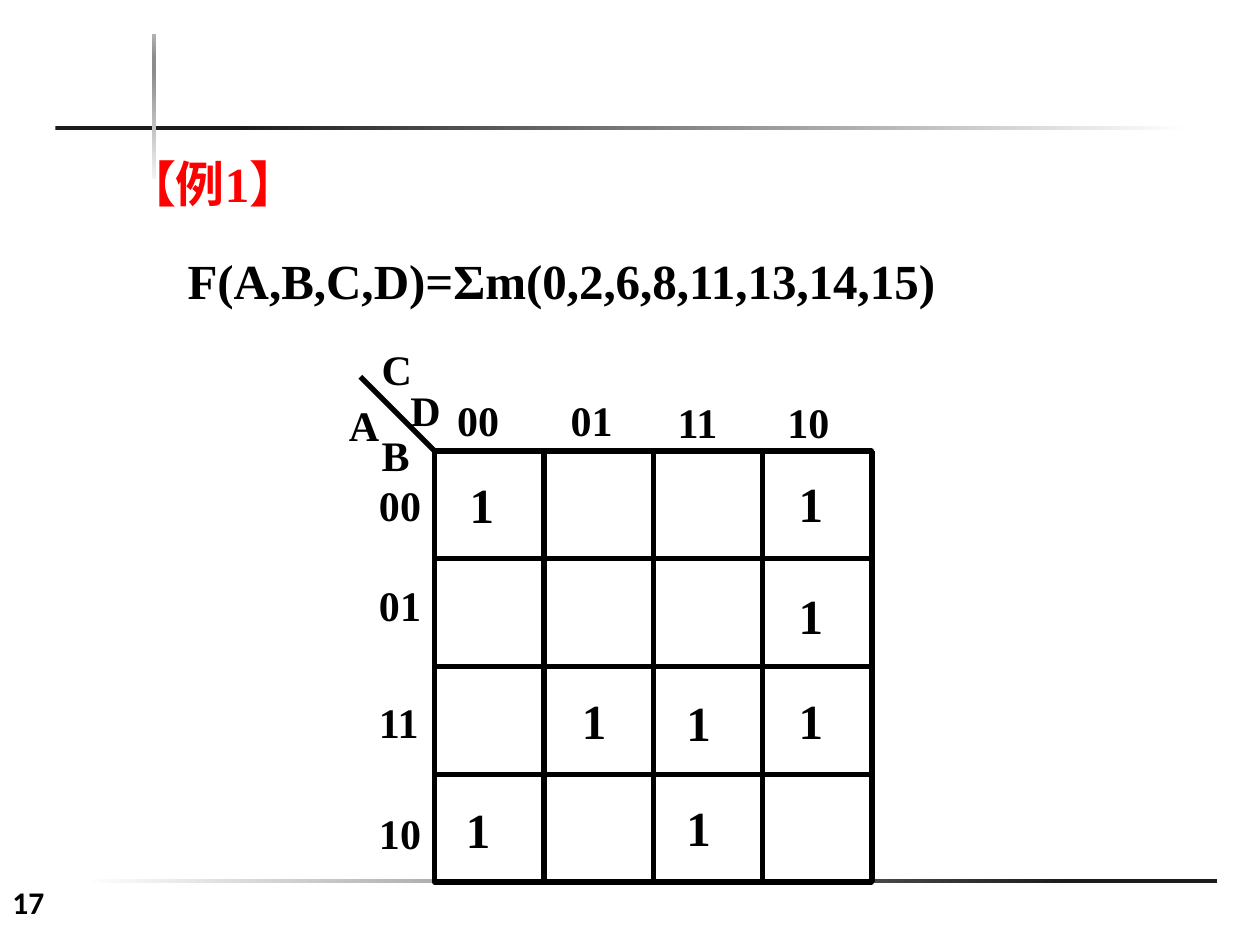
from lxml.etree import SubElement
from pptx import Presentation
from pptx.dml.color import RGBColor
from pptx.enum.shapes import MSO_CONNECTOR, MSO_SHAPE
from pptx.oxml.ns import qn
from pptx.util import Inches, Pt

COLORS = {"ink": "000000", "red": "FF0000"}
SERIF = "Times New Roman"

# left, top, width, height, angle, gradient stops
BARS = [
    (0.66, 6.98, 9, 0.03, 0, [(0, "FFFFFF"), (87, "1C1C1C")]),
    (0.44, 1, 9, 0.03, 0, [(16, "1C1C1C"), (100, "FFFFFF")]),
    (1.21, 0.27, 0.03, 1.15, 270,
     [(0, "F2F2F2"), (74, "8C8C8C"), (83, "8C8C8C"), (100, "B2B2B2")]),
]

# Karnaugh map: origin, cell size, cells per side
LEFT, TOP, WIDE, HIGH, SIDE = 3.45, 3.58, 0.8675, 0.855, 4
NAMES = [("C", 2.93, 2.68), ("D", 3.16, 3), ("A", 2.67, 3.12), ("B", 2.93, 3.36)]
COLS = [("00", 3.53, 3.08), ("01", 4.43, 3.08), ("11", 5.28, 3.1), ("10", 6.15, 3.1)]
ROWS = [("00", 2.91, 3.76), ("01", 2.91, 4.55), ("11", 2.91, 5.48), ("10", 2.91, 6.36)]
ONES = [(3.63, 3.72), (6.24, 3.71), (6.24, 4.6), (4.52, 5.43),
        (5.35, 5.45), (6.24, 5.43), (3.6, 6.3), (5.35, 6.28)]


def add_text(shapes, text, x, y, w, h, size=28, font=SERIF, color="ink", before=50):
    """Add a bold text box; before is the space above in percent of a line."""
    box = shapes.add_textbox(Inches(x), Inches(y), Inches(w), Inches(h))
    frame = box.text_frame
    frame.word_wrap = True
    para = frame.paragraphs[0]
    run = para.add_run()
    run.text = text
    run.font.size = Pt(size)
    run.font.name = font
    run.font.bold = True
    run.font.color.rgb = RGBColor.from_string(COLORS[color])
    if before:
        space = SubElement(para._p.get_or_add_pPr(), qn("a:spcBef"))
        SubElement(space, qn("a:spcPct"), val=str(before * 1000))


def add_rect(shapes, x, y, w, h):
    rect = shapes.add_shape(MSO_SHAPE.RECTANGLE,
                            Inches(x), Inches(y), Inches(w), Inches(h))
    rect.shadow.inherit = False
    return rect


def set_line(shape):
    shape.line.color.rgb = RGBColor.from_string(COLORS["ink"])
    shape.line.width = Pt(3)


def add_line(shapes, x1, y1, x2, y2):
    line = shapes.add_connector(MSO_CONNECTOR.STRAIGHT,
                                Inches(x1), Inches(y1), Inches(x2), Inches(y2))
    set_line(line)
    SubElement(line._element.spPr, qn("a:effectLst"))


def add_bar(shapes, x, y, w, h, angle, stops):
    bar = add_rect(shapes, x, y, w, h)
    bar.line.fill.background()
    bar.fill.gradient()
    grad = bar._element.spPr.find(qn("a:gradFill"))
    items = grad.find(qn("a:gsLst"))
    for old in list(items):
        items.remove(old)
    for place, color in stops:
        stop = SubElement(items, qn("a:gs"), pos=str(place * 1000))
        SubElement(stop, qn("a:srgbClr"), val=color)
    grad.find(qn("a:lin")).set("ang", str(angle * 60000))


def add_map(shapes):
    right, bottom = LEFT + SIDE * WIDE, TOP + SIDE * HIGH
    for row in range(SIDE):
        for col in range(SIDE):
            cell = add_rect(shapes, LEFT + col * WIDE, TOP + row * HIGH, WIDE, HIGH)
            cell.fill.background()
            set_line(cell)
    for step in range(SIDE + 1):
        x, y = LEFT + step * WIDE, TOP + step * HIGH
        add_line(shapes, LEFT, y, right, y)
        add_line(shapes, x, TOP, x, bottom)
    add_line(shapes, LEFT, TOP, 2.86, 2.99)
    for name, x, y in NAMES:
        add_text(shapes, name, x, y, 0.47, 0.5, size=24)
    for code, x, y in COLS + ROWS:
        add_text(shapes, code, x, y, 0.63, 0.5, size=24)


def main():
    deck = Presentation()
    deck.slide_width, deck.slide_height = Inches(10), Inches(7.5)
    shapes = deck.slides.add_slide(deck.slide_layouts[6]).shapes
    for bar in BARS:
        add_bar(shapes, *bar)
    add_text(shapes, "17", 0, 6.96, 0.89, 0.38, size=18, font="Calibri", before=0)
    add_text(shapes, "F(A,B,C,D)=Σm(0,2,6,8,11,13,14,15)", 1.39, 1.94, 6.61, 0.57)
    add_map(shapes.add_group_shape().shapes)
    for x, y in ONES:
        add_text(shapes, "1", x, y, 0.63, 0.57)
    add_text(shapes, "【例1】", 0.91, 1.17, 1.78, 0.57, color="red")
    deck.save("out.pptx")


if __name__ == "__main__":
    main()
